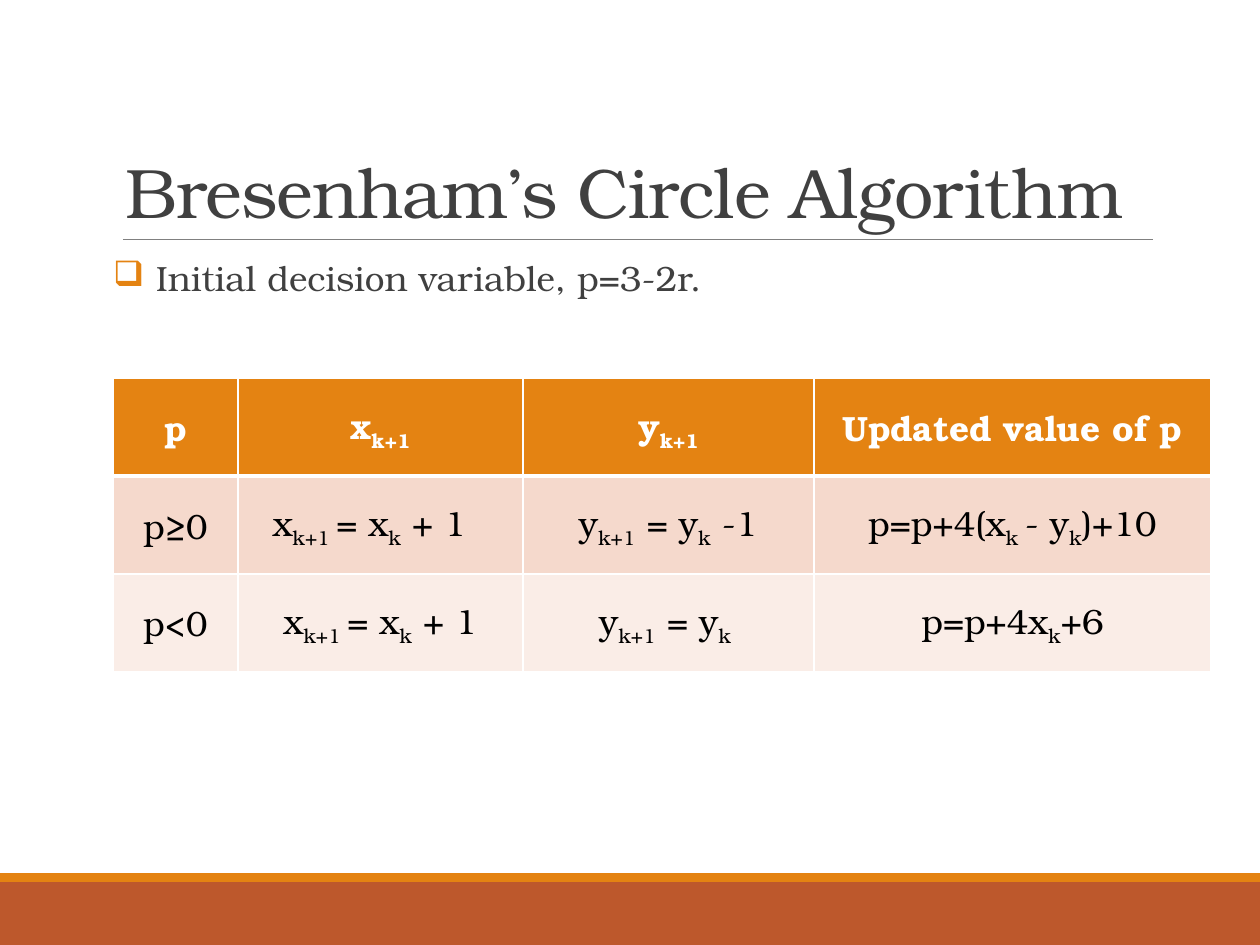
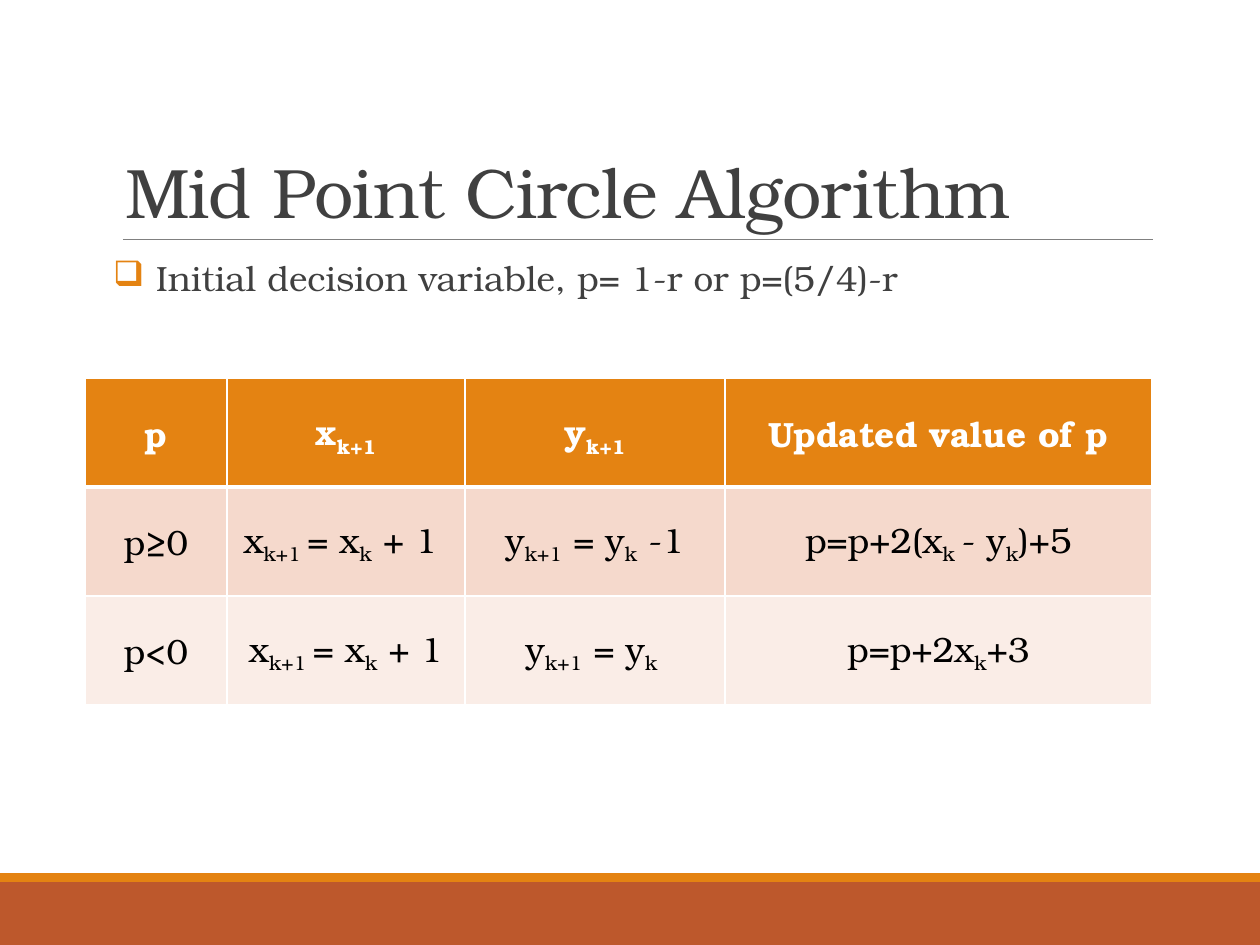
"""Two slides on circle drawing algorithms, each with a table of update rules."""
from dataclasses import dataclass
from typing import Any

from pptx import Presentation
from pptx.dml.color import RGBColor
from pptx.enum.shapes import MSO_CONNECTOR as Connector, MSO_SHAPE as Preset
from pptx.enum.text import MSO_ANCHOR as Anchor, PP_ALIGN as Align
from pptx.oxml.ns import qn
from pptx.oxml.xmlchemy import OxmlElement as new_element
from pptx.util import Emu, Pt

SLIDE_WIDTH, SLIDE_HEIGHT = 1260, 945
EMU_PER_PX = 10 * 914400 / SLIDE_WIDTH
FONT = "TeX Gyre Bonum"
WHITE = RGBColor(0xFF, 0xFF, 0xFF)
BLACK = RGBColor(0x00, 0x00, 0x00)
INK = RGBColor(0x40, 0x40, 0x40)
RULE_GREY = RGBColor(0x80, 0x80, 0x80)
ORANGE = RGBColor(0xE4, 0x83, 0x12)
RUST = RGBColor(0xBD, 0x58, 0x2C)
PEACH = RGBColor(0xF5, 0xD9, 0xCC)
PALE_PEACH = RGBColor(0xFA, 0xED, 0xE7)

TITLE_FONT = {"name": FONT, "size": Pt(40), "color": INK}
BODY_FONT = {"name": FONT, "size": Pt(20), "color": INK}
HEADER_FONT = {"name": FONT, "size": Pt(20), "color": WHITE, "bold": True}
CELL_FONT = {"name": FONT, "size": Pt(20), "color": BLACK, "bold": False}
TITLE_PARAGRAPH = {"line_spacing": 0.85}
BODY_PARAGRAPH = {"line_spacing": 0.9, "space_after": Pt(2)}

TABLE_TOP = 378
CELL_MARGIN = 13
BULLET_INDENT = 43
HEADER = ("p", "x[k+1]", "y[k+1]", "Updated value of p")
ROW_FILLS = (ORANGE, PEACH, PALE_PEACH)


@dataclass(frozen=True)
class Box:
    left: int
    top: int
    width: int
    height: int

    def emu(self) -> tuple[Emu, ...]:
        return tuple(map(px, (self.left, self.top, self.width, self.height)))


@dataclass(frozen=True)
class Band:
    box: Box
    color: RGBColor


@dataclass(frozen=True)
class AlgorithmSlide:
    title: str
    initial: str
    table_left: int
    columns: tuple[int, ...]
    row_height: int
    step_margin: int
    updates: tuple[str, str]


BANDS = (
    Band(Box(0, 882, SLIDE_WIDTH, 63), RUST),
    Band(Box(0, 873, SLIDE_WIDTH, 9), ORANGE),
)
TITLE_BOX = Box(113, 39, 1040, 200)
BODY_BOX = Box(113, 255, 1040, 554)
RULE = Box(123, 239, 1030, 0)

ALGORITHMS = (
    AlgorithmSlide(
        "Bresenham’s Circle Algorithm",
        "Initial decision variable, p=3-2r.",
        113, (125, 285, 291, 397), 98, 22,
        ("p=p+4(x[k ]- y[k])+10", "p=p+4x[k]+6"),
    ),
    AlgorithmSlide(
        "Mid Point Circle Algorithm",
        "Initial decision variable, p= 1-r or p=(5/4)-r",
        85, (142, 238, 260, 427), 109, 11,
        ("p=p+2(x[k ]- y[k])+5", "p=p+2x[k]+3"),
    ),
)


def px(length: int) -> Emu:
    return Emu(round(length * EMU_PER_PX))


def apply(target: Any, values: dict[str, Any]) -> None:
    for name, value in values.items():
        if name == "color":
            target.color.rgb = value
        else:
            setattr(target, name, value)


def add_child(parent: Any, tag: str, **attributes: str) -> Any:
    child = new_element(tag)
    for name, value in attributes.items():
        child.set(name, value)
    parent.append(child)
    return child


def add_frame(slide: Any) -> None:
    for band in BANDS:
        shape = slide.shapes.add_shape(Preset.RECTANGLE, *band.box.emu())
        shape.shadow.inherit = False
        shape.fill.solid()
        shape.fill.fore_color.rgb = band.color
        shape.line.fill.background()
    left, top, width, _ = RULE.emu()
    rule = slide.shapes.add_connector(Connector.STRAIGHT, left, top, left + width, top)
    apply(rule.line, {"color": RULE_GREY, "width": Pt(0.5)})
    add_child(rule._element.spPr, "a:effectLst")


def add_text(slide: Any, box: Box, text: str, frame_format: dict[str, Any],
             paragraph_format: dict[str, Any], font: dict[str, Any]) -> Any:
    frame = slide.shapes.add_textbox(*box.emu()).text_frame
    apply(frame, {"word_wrap": True, **frame_format})
    paragraph = frame.paragraphs[0]
    apply(paragraph, paragraph_format)
    run = paragraph.add_run()
    run.text = text
    apply(run.font, font)
    return paragraph


def add_title(slide: Any, text: str) -> None:
    paragraph = add_text(slide, TITLE_BOX, text, {"vertical_anchor": Anchor.BOTTOM},
                         TITLE_PARAGRAPH, TITLE_FONT)
    paragraph.runs[0].font._element.set("spc", "-50")


def add_bullet(slide: Any, text: str) -> None:
    paragraph = add_text(slide, BODY_BOX, text, {"margin_left": 0, "margin_right": 0},
                         BODY_PARAGRAPH, BODY_FONT)
    properties = paragraph._p.get_or_add_pPr()
    properties.set("marL", str(px(BULLET_INDENT)))
    properties.set("indent", str(-px(BULLET_INDENT)))
    add_child(add_child(properties, "a:buClr"), "a:srgbClr", val=str(ORANGE))
    add_child(properties, "a:buChar", char="❑")


def add_formula(paragraph: Any, formula: str, font: dict[str, Any]) -> None:
    for index, text in enumerate(formula.replace("]", "[").split("[")):
        if text:
            run = paragraph.add_run()
            run.text = text
            apply(run.font, font)
            if index % 2:
                run.font._element.set("baseline", "-25000")


def set_borders(cell: Any, row: int) -> None:
    widths = {"L": 1, "R": 1, "T": 3 if row == 1 else 1, "B": 3 if row == 0 else 1}
    properties = cell._tc.get_or_add_tcPr()
    for side, width in widths.items():
        line = add_child(properties, f"a:ln{side}", w=str(Pt(width)))
        add_child(add_child(line, "a:solidFill"), "a:srgbClr", val=str(WHITE))


def add_rules_table(slide: Any, algorithm: AlgorithmSlide) -> None:
    outside, inside = algorithm.updates
    rows = (
        HEADER,
        ("p≥0", "x[k+1 ]= x[k] + 1", "y[k+1] = y[k] -1", outside),
        ("p<0", "x[k+1 ]= x[k] + 1", "y[k+1] = y[k ]", inside),
    )
    box = Box(algorithm.table_left, TABLE_TOP, sum(algorithm.columns),
              algorithm.row_height * len(rows))
    table = slide.shapes.add_table(len(rows), len(HEADER), *box.emu()).table
    for column, width in zip(table.columns, algorithm.columns):
        column.width = px(width)
    for row, formulas in enumerate(rows):
        table.rows[row].height = px(algorithm.row_height)
        for column, formula in enumerate(formulas):
            cell = table.cell(row, column)
            extra = algorithm.step_margin if (row, column) == (1, 1) else 0
            apply(cell, {"vertical_anchor": Anchor.MIDDLE,
                         "margin_left": px(CELL_MARGIN),
                         "margin_right": px(CELL_MARGIN + extra)})
            set_borders(cell, row)
            cell.fill.solid()
            cell.fill.fore_color.rgb = ROW_FILLS[row]
            paragraph = cell.text_frame.paragraphs[0]
            paragraph.alignment = Align.CENTER
            add_formula(paragraph, formula, CELL_FONT if row else HEADER_FONT)


def main() -> None:
    presentation = Presentation()
    apply(presentation, {"slide_width": px(SLIDE_WIDTH), "slide_height": px(SLIDE_HEIGHT)})
    for algorithm in ALGORITHMS:
        slide = presentation.slides.add_slide(presentation.slide_layouts[6])
        add_frame(slide)
        add_title(slide, algorithm.title)
        add_bullet(slide, algorithm.initial)
        add_rules_table(slide, algorithm)
    presentation.save("out.pptx")


if __name__ == "__main__":
    main()
